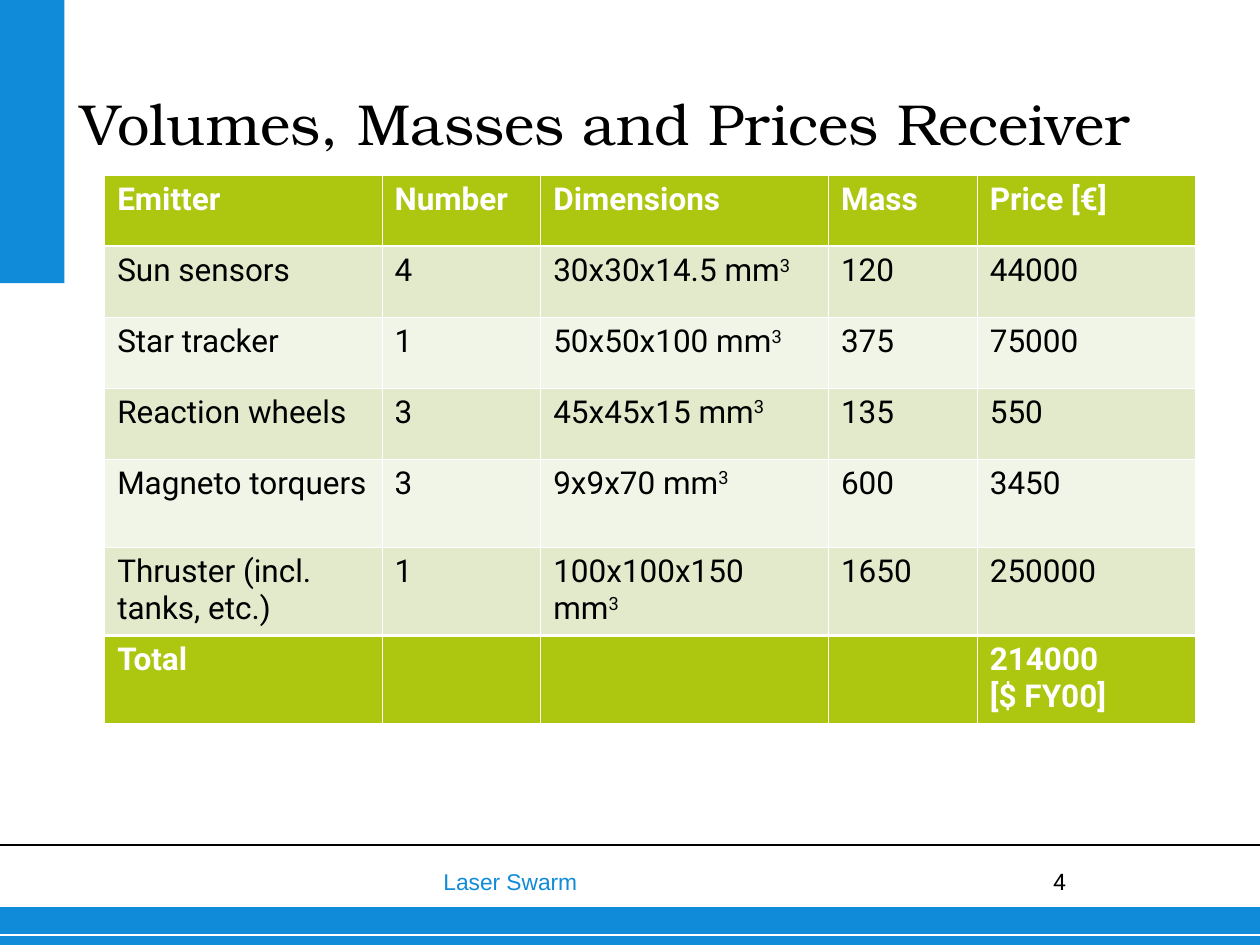
from pptx import Presentation
from pptx import util as u
from pptx.dml.color import RGBColor
from pptx.enum import shapes, text
from pptx.oxml import parse_xml
from pptx.oxml.ns import nsdecls, qn

# Content: "^" marks the start of a superscript
TITLE = "Volumes, Masses and Prices Receiver"
FOOTER, PAGE = "Laser Swarm", "4"
ROWS = [
    ("Emitter", "Number", "Dimensions", "Mass", "Price [€]"),
    ("Sun sensors", "4", "30x30x14.5 mm^3", "120", "44000"),
    ("Star tracker", "1", "50x50x100 mm^3", "375", "75000"),
    ("Reaction wheels", "3", "45x45x15 mm^3", "135", "550"),
    ("Magneto torquers", "3", "9x9x70 mm^3", "600", "3450"),
    ("Thruster (incl. tanks, etc.)", "1", "100x100x150 mm^3", "1650", "250000"),
    ("Total", "", "", "", "214000\n[$ FY00]"),
]
WIDTHS = [5.59, 3.2, 5.8, 3.0, 4.4]
HEIGHTS = [1.43] * 4 + [1.78] * 3


class Theme:
    blue, lime, black, white = "108BD9", "ADC610", "000000", "FFFFFF"
    bands = ("F1F5E7", "E3EACC")
    head, body, sans = "TeX Gyre Bonum", "Roboto", "Arial"
    big, mid, small = 33, 18, 13
    thin, thick = 0.45, 1.47


def color(code):
    return RGBColor.from_string(code)


def style(para, face, size, tone, bold=False):
    font = para.font
    font.name, font.size, font.bold = face, u.Pt(size), bold
    font.color.rgb = color(tone)


def bar(slide, *box):
    shape = slide.shapes.add_shape(shapes.MSO_SHAPE.RECTANGLE, *map(u.Cm, box))
    shape.shadow.inherit = False
    shape.fill.solid()
    shape.fill.fore_color.rgb = color(Theme.blue)
    shape.line.fill.background()


def rule(slide, top, tone, width):
    line = slide.shapes.add_connector(
        shapes.MSO_CONNECTOR.STRAIGHT, 0, u.Cm(top), u.Cm(25.4), u.Cm(top))
    line.line.color.rgb = color(tone)
    line.line.width = u.Pt(width)
    line._element.spPr.append(parse_xml(f"<a:effectLst {nsdecls('a')}/>"))


def label(slide, words, box, face, size, tone, anchor=text.MSO_ANCHOR.TOP):
    frame = slide.shapes.add_textbox(*map(u.Cm, box)).text_frame
    frame.word_wrap = True
    frame.vertical_anchor = anchor
    frame.margin_left = frame.margin_right = 0
    frame.margin_top = frame.margin_bottom = 0
    frame.text = words
    style(frame.paragraphs[0], face, size, tone)


def border(cell, sides):
    props = cell._tc.get_or_add_tcPr()
    for spot, (side, width) in enumerate(sides.items()):
        props.insert(spot, parse_xml(
            f'<a:ln{side} {nsdecls("a")} w="{u.Pt(width)}"><a:solidFill>'
            f'<a:srgbClr val="{Theme.white}"/></a:solidFill></a:ln{side}>'))


def write(cell, words, tone, bold):
    frame = cell.text_frame
    for spot, line in enumerate(words.split("\n")):
        para = frame.add_paragraph() if spot else frame.paragraphs[0]
        base, _, power = line.partition("^")
        if base:
            para.add_run().text = base
        if power:
            run = para.add_run()
            run.text = power
            run._r.get_or_add_rPr().set("baseline", "30000")
        style(para, Theme.body, Theme.mid, tone, bold)


def grid(slide):
    last = len(ROWS) - 1
    box = 2.11, 3.53, sum(WIDTHS), sum(HEIGHTS)
    table = slide.shapes.add_table(
        len(ROWS), len(WIDTHS), *map(u.Cm, box)).table
    for col, width in zip(table.columns, WIDTHS):
        col.width = u.Cm(width)
    for r, (row, high) in enumerate(zip(ROWS, HEIGHTS)):
        table.rows[r].height = u.Cm(high)
        strong = r in (0, last)
        sides = dict(L=Theme.thin, R=Theme.thin,
                     T=Theme.thick if r in (1, last) else Theme.thin,
                     B=Theme.thick if r in (0, last - 1) else Theme.thin)
        for c, words in enumerate(row):
            cell = table.cell(r, c)
            cell.fill.solid()
            cell.fill.fore_color.rgb = color(
                Theme.lime if strong else Theme.bands[r % 2])
            border(cell, sides)
            write(cell, words, Theme.white if strong else Theme.black, strong)


def main():
    deck = Presentation()
    deck.slide_width, deck.slide_height = u.Cm(25.4), u.Cm(19.05)
    slide = deck.slides.add_slide(deck.slide_layouts[6])

    # Footer band and rules
    label(slide, PAGE, (21.23, 17.5, 1.5, 0.71),
          Theme.body, Theme.small, Theme.black)
    bar(slide, 0, 18.29, 25.4, 0.76)
    rule(slide, 18.85, Theme.white, 0.75)
    rule(slide, 17.04, Theme.black, 1)
    label(slide, FOOTER, (8.94, 17.5, 11.76, 0.6),
          Theme.sans, Theme.small, Theme.blue)

    # Side bar, title and table
    bar(slide, 0, 0, 1.3, 5.71)
    label(slide, TITLE, (1.63, 0.2, 22.68, 2.97), Theme.head, Theme.big,
          Theme.black, text.MSO_ANCHOR.BOTTOM)
    grid(slide)
    deck.save("out.pptx")


if __name__ == "__main__":
    main()
